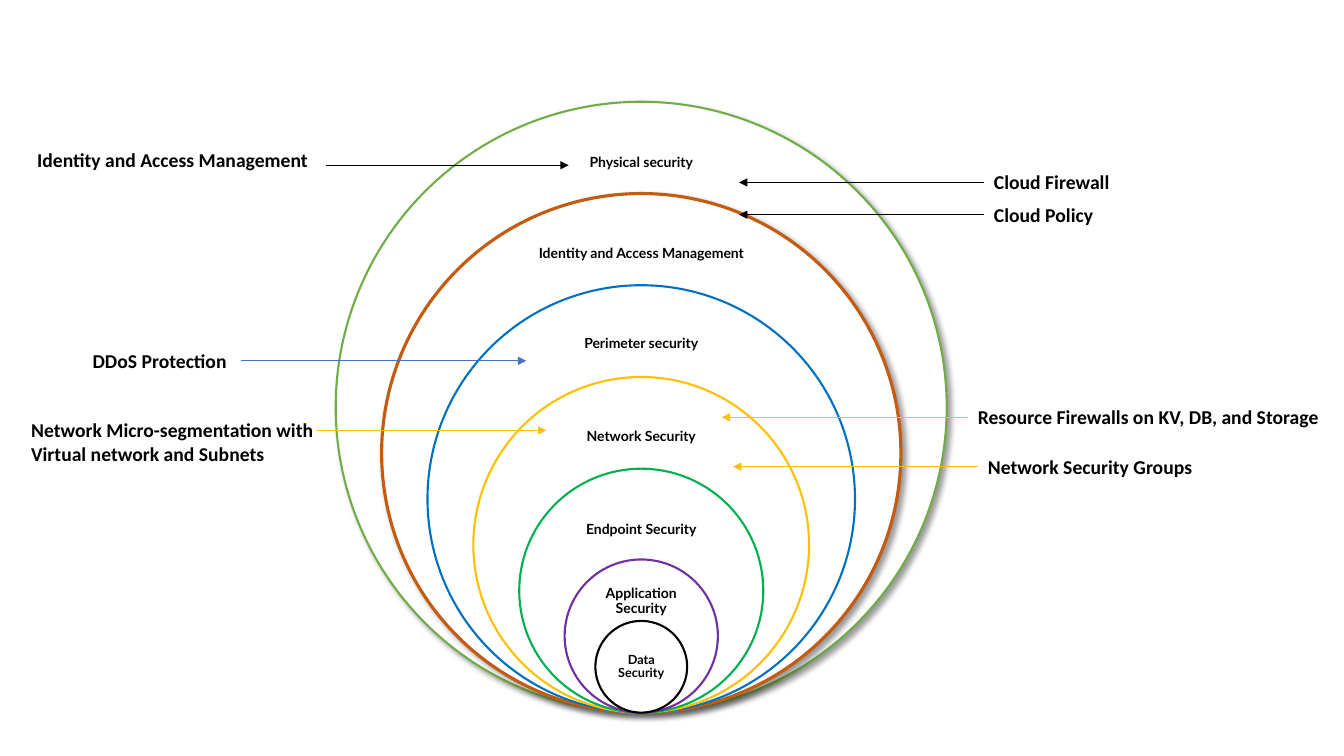
from dataclasses import dataclass

import lxml.etree
import pptx
import pptx.dml.color
import pptx.enum.shapes
import pptx.enum.text
import pptx.oxml
import pptx.oxml.ns
import pptx.util

Inches = pptx.util.Inches
Pt = pptx.util.Pt
RGBColor = pptx.dml.color.RGBColor
qn = pptx.oxml.ns.qn

BLACK = RGBColor(0x00, 0x00, 0x00)
WHITE = RGBColor(0xFF, 0xFF, 0xFF)
LIME = RGBColor(0x70, 0xAD, 0x47)
RUST = RGBColor(0xC5, 0x5A, 0x11)
BLUE = RGBColor(0x00, 0x70, 0xC0)
STEEL = RGBColor(0x44, 0x72, 0xC4)
GOLD = RGBColor(0xFF, 0xC0, 0x00)
GREEN = RGBColor(0x00, 0xB0, 0x50)
PURPLE = RGBColor(0x70, 0x30, 0xA0)

CENTER_X = 6.36
BOTTOM = 7.07


@dataclass
class Layer:
    name: str
    diameter: float
    color: RGBColor
    text_top: float
    text_width: float
    text_height: float
    line_width: float = 1.5
    size: int = 10
    inset: float = 0.08
    shadow: bool = False


@dataclass
class Control:
    name: str
    left: float
    top: float
    width: float
    start: float
    end: float
    arrow_y: float
    color: RGBColor = BLACK
    height: float = 0.34
    wrap: bool = True


LAYERS = [
    Layer("Physical security", 6.06, LIME, 1.31, 2.27, 0.61, shadow=True),
    Layer("Identity and Access Management", 5.15, RUST, 2.22, 2.22, 0.59,
          line_width=2.25, shadow=True),
    Layer("Perimeter security", 4.24, BLUE, 3.12, 2.2, 0.59),
    Layer("Network Security", 3.33, GOLD, 4.04, 1.8, 0.6),
    Layer("Endpoint Security", 2.42, GREEN, 4.95, 1.58, 0.61),
    Layer("Application Security", 1.52, PURPLE, 5.78, 1.03, 0.37),
    Layer("Data Security", 0.91, BLACK, 6.39, 0.64, 0.45, size=9, inset=0.07),
]

CONTROLS = [
    Control("Cloud Firewall", 9.76, 1.64, 1.36, 9.76, 7.33, 1.81, wrap=False),
    Control("Identity and Access Management", 0.27, 1.42, 3.02, 3.23, 5.64, 1.64),
    Control("DDoS Protection", 0.82, 3.41, 1.6, 2.39, 5.22, 3.58, STEEL),
    Control("Cloud Policy", 9.76, 1.96, 1.19, 9.76, 7.33, 2.13, wrap=False),
    Control("Network Micro-segmentation with Virtual network and Subnets",
            0.21, 4.1, 3.02, 3.14, 5.42, 4.27, GOLD, height=0.57),
    Control("Network Security Groups", 9.7, 4.46, 2.24, 9.7, 7.27, 4.63, GOLD,
            wrap=False),
    Control("Resource Firewalls on KV, DB, and Storage",
            9.6, 3.97, 3.7, 9.6, 7.16, 4.14, GOLD),
]


def set_font(p, name: str, size: int) -> None:
    p.font.name = name
    p.font.size = Pt(size)
    p.font.bold = True
    p.font.color.rgb = BLACK


def add_shadow(sp) -> None:
    effects = sp._element.spPr.find(qn("a:effectLst"))
    shadow = lxml.etree.SubElement(
        effects, qn("a:outerShdw"), blurRad=str(Pt(4)), dist=str(Pt(3)),
        dir=str(45 * 60000), algn="tl", rotWithShape="0")
    color = lxml.etree.SubElement(shadow, qn("a:srgbClr"), val=str(BLACK))
    lxml.etree.SubElement(color, qn("a:alpha"), val="40000")


def draw_layer(shapes, layer: Layer) -> None:
    d = layer.diameter
    sp = shapes.add_shape(
        pptx.enum.shapes.MSO_SHAPE.OVAL,
        Inches(CENTER_X - d / 2), Inches(BOTTOM - d), Inches(d), Inches(d))
    sp.shadow.inherit = False
    sp.fill.solid()
    sp.fill.fore_color.rgb = WHITE
    sp.line.color.rgb = layer.color
    sp.line.width = Pt(layer.line_width)
    if layer.shadow:
        add_shadow(sp)

    tf = shapes.add_textbox(
        Inches(CENTER_X - layer.text_width / 2), Inches(layer.text_top),
        Inches(layer.text_width), Inches(layer.text_height)).text_frame
    tf.word_wrap = True
    tf.vertical_anchor = pptx.enum.text.MSO_ANCHOR.MIDDLE
    tf.margin_left = tf.margin_right = Inches(layer.inset)
    tf.margin_top = tf.margin_bottom = Inches(layer.inset)
    p = tf.paragraphs[0]
    p.text = layer.name
    p.alignment = pptx.enum.text.PP_ALIGN.CENTER
    p.line_spacing = 0.9
    set_font(p, "Lato", layer.size)


def draw_control(shapes, control: Control) -> None:
    tf = shapes.add_textbox(
        Inches(control.left), Inches(control.top),
        Inches(control.width), Inches(control.height)).text_frame
    tf.word_wrap = control.wrap
    tf.auto_size = pptx.enum.text.MSO_AUTO_SIZE.SHAPE_TO_FIT_TEXT
    p = tf.paragraphs[0]
    p.text = control.name
    set_font(p, "Calibri", 14)

    y = Inches(control.arrow_y)
    arrow = shapes.add_connector(
        pptx.enum.shapes.MSO_CONNECTOR.STRAIGHT,
        Inches(control.start), y, Inches(control.end), y)
    arrow.line.color.rgb = control.color
    arrow.line.width = Pt(0.5)
    lxml.etree.SubElement(arrow.line._get_or_add_ln(), qn("a:tailEnd"), type="triangle")
    lxml.etree.SubElement(arrow._element.spPr, qn("a:effectLst"))


def main() -> None:
    prs = pptx.Presentation()
    prs.slide_width = Inches(13.33)
    prs.slide_height = Inches(7.5)
    s = prs.slides.add_slide(prs.slide_layouts[6])
    rings = s.shapes.add_group_shape()
    for layer in LAYERS:
        draw_layer(rings.shapes, layer)
    for control in CONTROLS:
        draw_control(s.shapes, control)
    prs.save("out.pptx")


if __name__ == "__main__":
    main()
